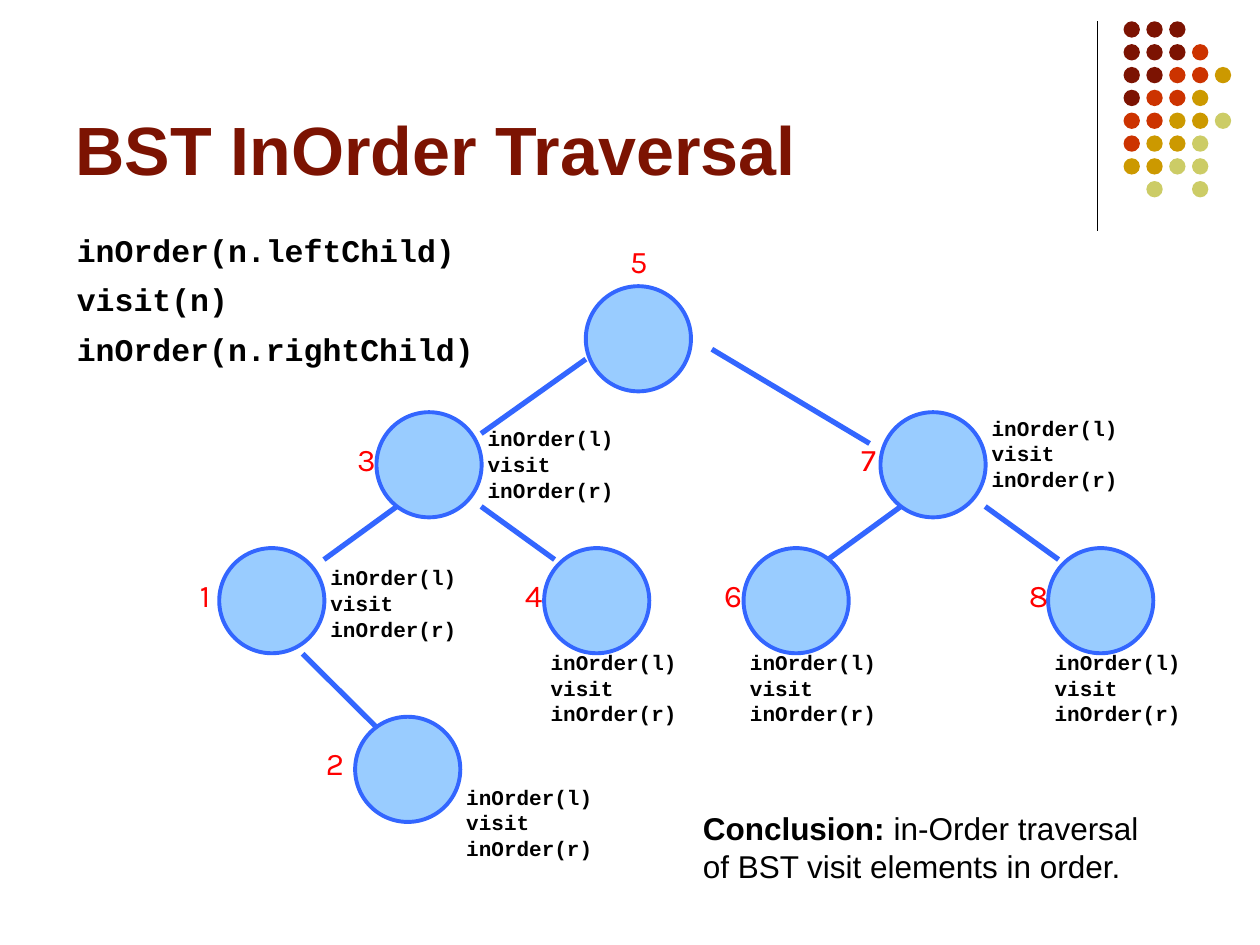
from lxml import etree
from pptx import Presentation
from pptx import util as u
from pptx.dml.color import RGBColor
from pptx.enum import shapes, text
from pptx.oxml import ns

MAROON = RGBColor(0x7C, 0x13, 0x02)
RUST = RGBColor(0xCC, 0x33, 0x00)
GOLD = RGBColor(0xCC, 0x99, 0x00)
OLIVE = RGBColor(0xCC, 0xCC, 0x66)
BLUE = RGBColor(0x33, 0x66, 0xFF)
SKY = RGBColor(0x99, 0xCC, 0xFF)
RED = RGBColor(0xFF, 0x00, 0x00)
BLACK = RGBColor(0x00, 0x00, 0x00)

# Corner dots, one letter for each colour
DOTS = ["MMM", "MMMR", "MMRRG", "MRRG", "RRGGO", "RGGO", "GGOO", " O O"]
HUES = {"M": MAROON, "R": RUST, "G": GOLD, "O": OLIVE}

# Sizes and offsets are in centimetres
NODE = 2.12
LEFT = (-0.64, 0.43)
BELOW = (0, 2.13)

# Key: node corner, offset of the number, offset of the calls
NODES = {
    "5": ((11.81, 5.77), (0.64, -1.02), None),
    "3": ((7.59, 8.31), LEFT, (2.11, 0.36)),
    "7": ((17.75, 8.31), LEFT, (2.11, 0.15)),
    "1": ((4.42, 11.05), LEFT, (2.11, 0.43)),
    "4": ((10.97, 11.05), LEFT, BELOW),
    "6": ((14.99, 11.05), LEFT, BELOW),
    "8": ((21.13, 11.05), LEFT, BELOW),
    "2": ((7.16, 14.45), (-0.84, 0.41), (2.11, 1.45)),
}
EDGES = [
    (11.81, 7.24, 9.70, 8.74),
    (14.35, 7.04, 17.53, 8.94),
    (8.00, 10.21, 6.53, 11.28),
    (9.70, 10.21, 11.18, 11.28),
    (18.16, 10.21, 16.69, 11.28),
    (19.86, 10.21, 21.34, 11.28),
    (6.10, 13.18, 7.59, 14.66),
]
STEPS = [("inOrder(n.leftChild)", 8.41), ("visit(n)", 7.59),
         ("inOrder(n.rightChild)", 8.79)]
CALLS = "inOrder(l)\nvisit\ninOrder(r)"


def add_dot(slide, x, y, size, fill, edge=None):
    dot = slide.shapes.add_shape(shapes.MSO_SHAPE.OVAL, u.Cm(x), u.Cm(y),
                                 u.Cm(size), u.Cm(size))
    dot.shadow.inherit = False
    dot.fill.solid()
    dot.fill.fore_color.rgb = fill
    if edge is None:
        dot.line.fill.background()
    else:
        dot.line.color.rgb = edge
        dot.line.width = u.Pt(2.25)


def add_line(slide, ends, color, width):
    line = slide.shapes.add_connector(shapes.MSO_CONNECTOR.STRAIGHT,
                                      *[u.Cm(end) for end in ends])
    line.line.color.rgb = color
    line.line.width = u.Pt(width)
    etree.SubElement(line._element.spPr, ns.qn("a:effectLst"))


def add_text(slide, words, area, size, font, color=BLACK, bold=False, inset=0.25):
    box = slide.shapes.add_textbox(*[u.Cm(side) for side in area])
    frame = box.text_frame
    frame.word_wrap = True
    frame.margin_left = frame.margin_right = u.Cm(inset)
    frame.margin_top = frame.margin_bottom = u.Cm(0.13)
    frame.text = words
    for para in frame.paragraphs:
        for run in para.runs:
            run.font.size = u.Pt(size)
            run.font.name = font
            run.font.color.rgb = color
            run.font.bold = bold
    return frame


def add_calls(slide, x, y):
    frame = add_text(slide, CALLS, (x, y, 2.97, 1.55), 12, "Courier New",
                     bold=True, inset=0.13)
    for row, para in enumerate(frame.paragraphs):
        para.line_spacing = 0.5
        if row:
            para.space_before = u.Pt(7.5)


def add_decor(slide):
    add_line(slide, (22.12, 0.43, 22.12, 4.65), BLACK, 0.75)
    for row, marks in enumerate(DOTS):
        for col, mark in enumerate(marks):
            if mark in HUES:
                add_dot(slide, 22.65 + 0.46 * col, 0.43 + 0.46 * row, 0.33, HUES[mark])


def add_tree(slide):
    for ends in EDGES:
        add_line(slide, ends, BLUE, 3)
    for (x, y), _, _ in NODES.values():
        add_dot(slide, x, y, NODE, SKY, BLUE)
    # Visit numbers and recursive calls
    for key, ((x, y), tag, calls) in NODES.items():
        add_text(slide, key, (x + tag[0], y + tag[1], 1.27, 1.02), 18, "Karla", RED)
        if calls:
            add_calls(slide, x + calls[0], y + calls[1])


def main():
    deck = Presentation()
    deck.slide_width, deck.slide_height = u.Cm(25.4), u.Cm(19.05)
    slide = deck.slides.add_slide(deck.slide_layouts[6])
    add_decor(slide)

    # Title
    title = add_text(slide, "BST InOrder Traversal", (1.27, 0.33, 20.96, 3.61),
                     39, "Arial", MAROON, True)
    title.vertical_anchor = text.MSO_ANCHOR.BOTTOM

    add_tree(slide)

    # Algorithm steps
    for row, (step, width) in enumerate(STEPS):
        add_text(slide, step, (1.3, 4.52 + row, width, 1.02), 18,
                 "Courier New", bold=True)

    # Conclusion
    end = add_text(slide, "Conclusion:", (13.92, 16.18, 9.7, 1.78), 18, "Arial", bold=True)
    rest = end.paragraphs[0].add_run()
    rest.text = " in-Order traversal of BST visit elements in order."
    rest.font.size = u.Pt(18)
    rest.font.name = "Arial"
    rest.font.color.rgb = BLACK

    deck.save("out.pptx")


if __name__ == "__main__":
    main()
